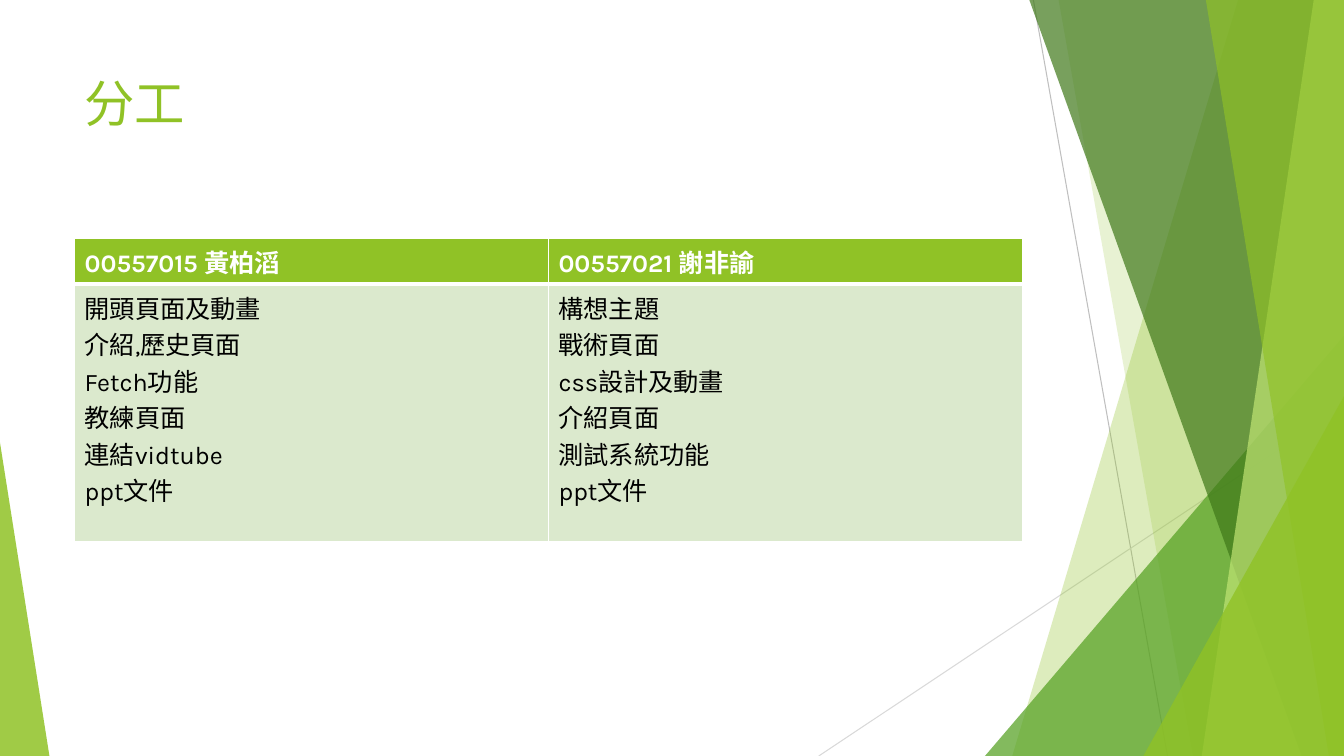
from lxml.etree import SubElement
from pptx import Presentation
from pptx.dml.color import RGBColor
from pptx.enum.shapes import MSO_CONNECTOR as Connector, MSO_SHAPE as Preset
from pptx.enum.text import MSO_ANCHOR as Anchor
from pptx.oxml import parse_xml
from pptx.oxml.ns import nsdecls, qn
from pptx.util import Inches, Pt

WIDTH, HEIGHT = Inches(13.33), Inches(7.5)
GREEN, PALE, WHITE, BLACK = "90C226", "DBE9CD", "FFFFFF", "000000"

TITLE_FORMAT = {"size": Pt(36), "name": "Karla", "bold": False}
HEADER_FORMAT = {"size": Pt(18), "name": "Karla", "bold": True}
TASK_FORMAT = {**HEADER_FORMAT, "bold": False}

DUTIES = {
    "00557015 黃柏滔": ["開頭頁面及動畫", "介紹,歷史頁面", "Fetch功能",
                     "教練頁面", "連結vidtube", "ppt文件"],
    "00557021 謝非諭": ["構想主題", "戰術頁面", "css設計及動畫",
                     "介紹頁面", "測試系統功能", "ppt文件"],
}


def across(percent):
    return round(WIDTH * percent / 100)


def down(percent):
    return round(HEIGHT * percent / 100)


def color(value):
    return RGBColor.from_string(value)


def apply_format(target, values):
    for key, value in values.items():
        setattr(target, key, value)


def write_lines(frame, lines, font_format, ink):
    for index, line in enumerate(lines):
        paragraph = frame.paragraphs[0] if index == 0 else frame.add_paragraph()
        run = paragraph.add_run()
        run.text = line
        apply_format(run.font, font_format)
        run.font.color.rgb = color(ink)


def tint(facet, hue, opacity):
    facet.shadow.inherit = False
    facet.line.fill.background()
    facet.fill.solid()
    facet.fill.fore_color.rgb = color(hue)
    hue_node = facet.fill._xPr.find(qn("a:solidFill"))[0]
    SubElement(hue_node, qn("a:alpha"), val=str(opacity * 1000))


def add_ray(slide, start, end, hue):
    ray = slide.shapes.add_connector(
        Connector.STRAIGHT, across(start[0]), down(start[1]), across(end[0]), down(end[1]))
    ray.line.color.rgb = color(hue)
    ray.line.width = Pt(0.75)
    SubElement(ray._element.spPr, qn("a:effectLst"))


def add_band(slide, top_left, bottom_left, hue, opacity):
    outline = slide.shapes.build_freeform(across(top_left), 0)
    outline.add_line_segments(
        [(WIDTH, 0), (WIDTH, HEIGHT), (across(bottom_left), HEIGHT)], close=True)
    tint(outline.convert_to_shape(), hue, opacity)


def add_corner(slide, left, right, top, apex, hue, opacity):
    corner = slide.shapes.add_shape(
        Preset.ISOSCELES_TRIANGLE, across(left), down(top),
        across(right - left), HEIGHT - down(top))
    corner.adjustments[0] = apex
    tint(corner, hue, opacity)


def add_backdrop(slide):
    add_ray(slide, (76.89, 0), (86.87, 100), "BFBFBF")
    add_ray(slide, (100, 53.73), (60.92, 100), "D9D9D9")
    add_band(slide, 92.12, 75.32, GREEN, 30)
    add_band(slide, 78.77, 88.75, GREEN, 20)
    add_corner(slide, 73.29, 100, 44.4, 1, "54A021", 72)
    add_band(slide, 76.59, 96.85, "3F7819", 70)
    add_band(slide, 97.75, 89.42, "C0E474", 70)
    add_band(slide, 89.72, 98.87, GREEN, 65)
    add_corner(slide, 85.07, 100, 52.4, 1, GREEN, 80)
    add_corner(slide, 0, 3.68, 58.53, 0, GREEN, 85)


def add_title(slide, wording):
    title = slide.shapes.add_textbox(across(5.55), down(8.93), across(70.52), down(19.2))
    apply_format(title.text_frame, {"word_wrap": True, "vertical_anchor": Anchor.TOP})
    write_lines(title.text_frame, [wording], TITLE_FORMAT, GREEN)


def set_borders(cell, widths):
    properties = cell._tc.get_or_add_tcPr()
    for index, (side, width) in enumerate(widths.items()):
        properties.insert(index, parse_xml(
            f'<a:ln{side} {nsdecls("a")} w="{Pt(width)}"><a:solidFill>'
            f'<a:srgbClr val="{WHITE}"/></a:solidFill></a:ln{side}>'))


def fill_cell(cell, lines, font_format, ink, background, widths):
    cell.fill.solid()
    cell.fill.fore_color.rgb = color(background)
    set_borders(cell, widths)
    write_lines(cell.text_frame, lines, font_format, ink)


def add_duties(slide, duties):
    row_heights = [down(6.13), down(34.1)]
    table = slide.shapes.add_table(
        len(row_heights), len(duties), across(5.55), down(31.47),
        across(70.52), sum(row_heights)).table
    for row, height in zip(table.rows, row_heights):
        row.height = height
    for column, (member, tasks) in enumerate(duties.items()):
        fill_cell(table.cell(0, column), [member], HEADER_FORMAT, WHITE, GREEN,
                  {"L": 1, "R": 1, "T": 1, "B": 3})
        fill_cell(table.cell(1, column), tasks, TASK_FORMAT, BLACK, PALE,
                  {"L": 1, "R": 1, "T": 3, "B": 1})


def main():
    deck = Presentation()
    apply_format(deck, {"slide_width": WIDTH, "slide_height": HEIGHT})
    slide = deck.slides.add_slide(deck.slide_layouts[6])
    add_backdrop(slide)
    add_title(slide, "分工")
    add_duties(slide, DUTIES)
    deck.save("out.pptx")


if __name__ == "__main__":
    main()
